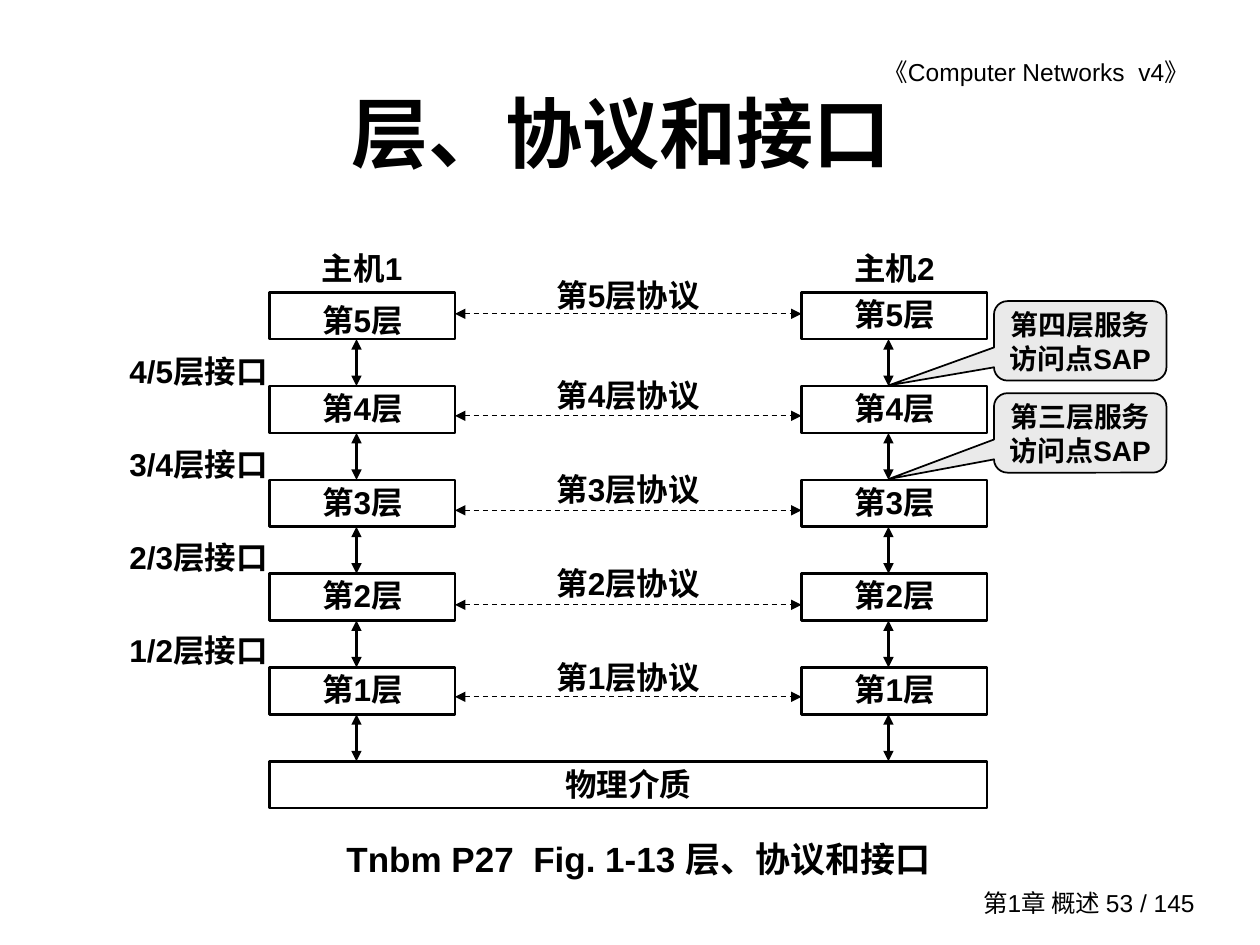
from lxml import etree
from pptx import Presentation
from pptx.dml.color import RGBColor
from pptx.enum import dml, shapes, text
from pptx.oxml.ns import qn
from pptx.util import Pt

BLACK = RGBColor(0x00, 0x00, 0x00)
WHITE = RGBColor(0xFF, 0xFF, 0xFF)
GREY = RGBColor(0xEA, 0xEA, 0xEA)
LATIN, CJK = "Arial", "Noto Sans CJK SC"
LEFT, CENTER, RIGHT = text.PP_ALIGN.JUSTIFY, text.PP_ALIGN.CENTER, text.PP_ALIGN.RIGHT
TOP, MIDDLE = text.MSO_ANCHOR.TOP, text.MSO_ANCHOR.MIDDLE

FIRST_TOP, PITCH = 167, 53.6
BOX_WIDTH, BOX_HEIGHT = 106, 26.8
HOST_LEFTS = (154, 458)
ARROW_OFFSET = 49.7
LABEL_TOPS = (155.5, 213, 266.6, 320.2, 373.8)
PROTOCOL_LINES = (179.3, 237.6, 291.6, 345.6, 398.2)


def write(shape, lines, size=18, bold=True, align=CENTER, anchor=TOP,
          spacing=None, font=LATIN, inset=None, indent=0, before=None):
    """Put the lines into the shape as formatted paragraphs."""
    frame = shape.text_frame
    frame.word_wrap = True
    frame.auto_size = text.MSO_AUTO_SIZE.NONE
    frame.vertical_anchor = anchor
    if inset is not None:
        frame.margin_left = frame.margin_right = Pt(inset)
        frame.margin_top = frame.margin_bottom = Pt(inset)
    frame.text = lines
    for paragraph in frame.paragraphs:
        paragraph.alignment = align
        paragraph.line_spacing = spacing
        if before is not None:
            paragraph.space_before = Pt(before)
        paragraph.font.name = font
        paragraph.font.size = Pt(size)
        paragraph.font.bold = bold
        paragraph.font.color.rgb = BLACK
        properties = paragraph.font._element
        etree.SubElement(properties, qn("a:ea")).set("typeface", CJK)
        if indent:
            properties.getparent().set("marL", str(Pt(indent)))


def place(shape, left, top, width, height):
    """Move and size a shape in points."""
    shape.left, shape.top = Pt(left), Pt(top)
    shape.width, shape.height = Pt(width), Pt(height)


def add_label(slide, bounds, lines, **style):
    """Add a plain text box."""
    write(slide.shapes.add_textbox(*map(Pt, bounds)), lines, **style)


def add_panel(slide, kind, bounds, lines, fill=WHITE, line_width=1.5, **style):
    """Add a filled and outlined shape with text."""
    shape = slide.shapes.add_shape(kind, *map(Pt, bounds))
    shape.shadow.inherit = False
    shape.fill.solid()
    shape.fill.fore_color.rgb = fill
    shape.line.color.rgb = BLACK
    shape.line.width = Pt(line_width)
    write(shape, lines, **style)
    return shape


def add_arrow(slide, start, end, width=1.5, dashed=False):
    """Add a straight line with an arrowhead at each end."""
    connector = slide.shapes.add_connector(
        shapes.MSO_CONNECTOR.STRAIGHT, *map(Pt, start + end))
    connector.line.color.rgb = BLACK
    connector.line.width = Pt(width)
    if dashed:
        connector.line.dash_style = dml.MSO_LINE.DASH
    properties = connector._element.spPr
    outline = properties.find(qn("a:ln"))
    for tag in ("a:headEnd", "a:tailEnd"):
        etree.SubElement(outline, qn(tag)).set("type", "triangle")
    etree.SubElement(properties, qn("a:effectLst"))


def add_host(slide, number, left):
    """Add one host's name, its five layers and the arrows below them."""
    add_label(slide, (left - 6, 140.4, 118, 26.6), f"主机{number}", spacing=0.96)
    for row in range(5):
        top = FIRST_TOP + row * PITCH
        spacing = 1.2 if (number, row) == (1, 0) else 0.96
        add_panel(slide, shapes.MSO_SHAPE.RECTANGLE,
                  (left, top, BOX_WIDTH, BOX_HEIGHT), f"第{5 - row}层",
                  align=LEFT, anchor=MIDDLE, spacing=spacing, indent=23)
        x = left + ARROW_OFFSET
        add_arrow(slide, (x, top + BOX_HEIGHT), (x, top + PITCH))


def add_protocols(slide):
    """Add the dashed protocol arrows and their labels between the hosts."""
    for row, (label_top, y) in enumerate(zip(LABEL_TOPS, PROTOCOL_LINES)):
        add_arrow(slide, (HOST_LEFTS[0] + BOX_WIDTH, y), (HOST_LEFTS[1], y), 0.75, True)
        add_label(slide, (284.4, label_top, 149, 26.6), f"第{5 - row}层协议", spacing=0.96)


def add_callout(slide, top, lines, tip):
    """Add a rounded callout that points at a service access point."""
    callout = add_panel(slide, shapes.MSO_SHAPE.ROUNDED_RECTANGULAR_CALLOUT,
                        (568, top, 98.6, 45.4), lines, GREY, 1, size=16, inset=1.4)
    for index, value in enumerate((-1.11, tip, 0.17)):
        callout.adjustments[index] = value


def main():
    """Build the slide on layers, protocols and interfaces."""
    presentation = Presentation()
    presentation.slide_width, presentation.slide_height = Pt(720), Pt(540)
    slide = presentation.slides.add_slide(presentation.slide_layouts[5])
    title = slide.shapes.title
    place(title, 54, 30, 612, 90)
    write(title, "层、协议和接口 ", size=44, anchor=MIDDLE, font=CJK)
    add_label(slide, (385, 28.8, 304.8, 24.5), "《Computer Networks  v4》 ",
              size=14, bold=False, align=RIGHT)
    add_label(slide, (540, 504, 149.8, 23.8), "第1章 概述 53 / 145",
              size=14, bold=False, align=RIGHT, anchor=MIDDLE)

    for number, left in enumerate(HOST_LEFTS, 1):
        add_host(slide, number, left)
    add_panel(slide, shapes.MSO_SHAPE.RECTANGLE,
              (HOST_LEFTS[0], FIRST_TOP + 5 * PITCH, 410, BOX_HEIGHT),
              "物理介质", spacing=0.96)
    add_protocols(slide)
    interfaces = "\n".join(f"{n}/{n + 1}层接口" for n in range(4, 0, -1))
    add_label(slide, (54, 166.3, 106, 239.8), interfaces, align=RIGHT, spacing=2.46)
    add_callout(slide, 172.1, "第四层服务访问点SAP", 0.56)
    add_callout(slide, 224.7, "第三层服务访问点SAP", 0.58)
    add_label(slide, (166.3, 475.2, 397.4, 31.7),
              "Tnbm P27  Fig. 1-13 层、协议和接口", size=20, before=12.5)
    presentation.save("out.pptx")


if __name__ == "__main__":
    main()
